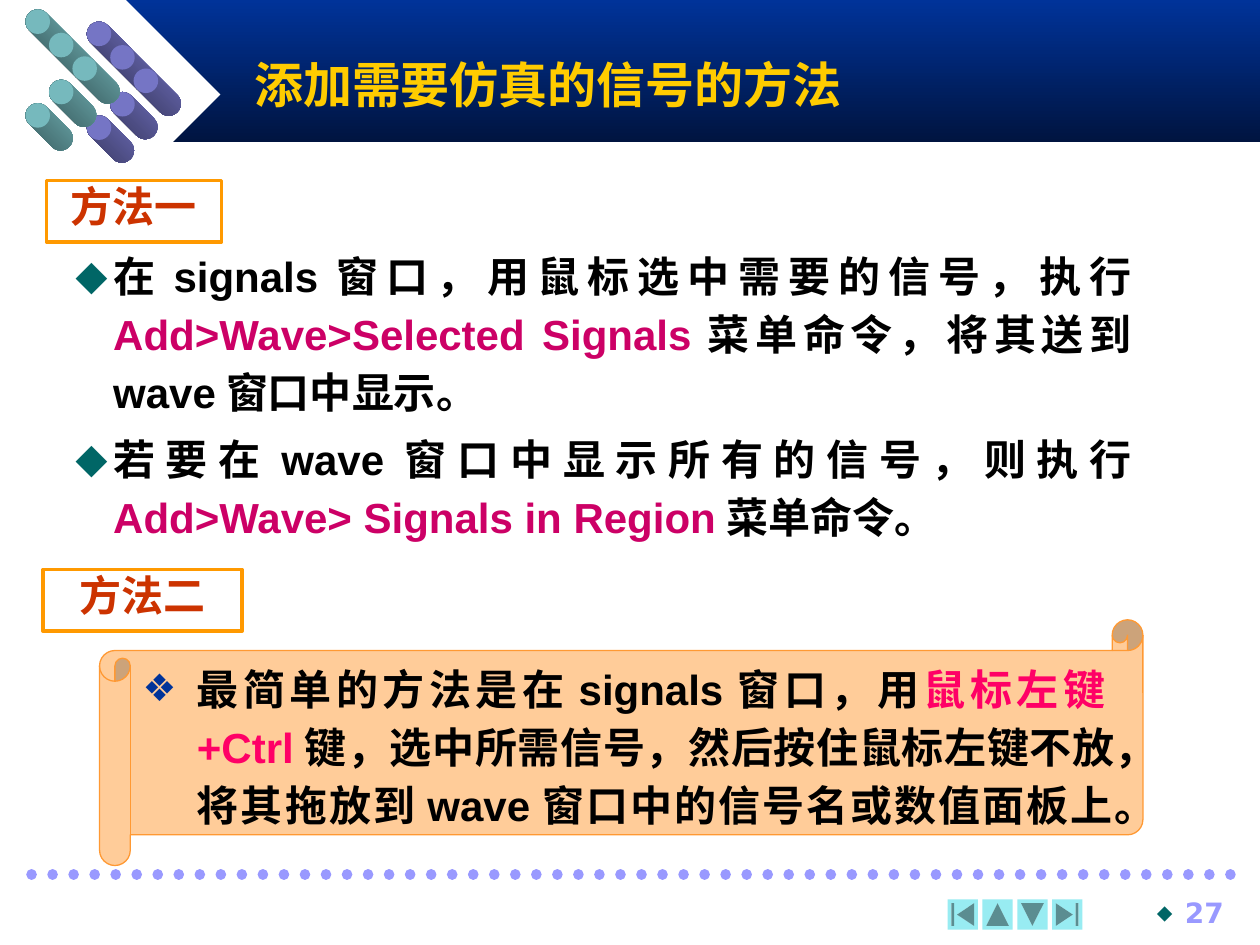
import pptx
import pptx.util
import pptx.dml.color
import pptx.enum.dml
import pptx.enum.shapes
import pptx.enum.text
import pptx.oxml
import pptx.oxml.ns

Pt = pptx.util.Pt
qn = pptx.oxml.ns.qn
SHAPE = pptx.enum.shapes.MSO_SHAPE
ALIGN = pptx.enum.text.PP_ALIGN
ANCHOR = pptx.enum.text.MSO_ANCHOR
color = pptx.dml.color.RGBColor.from_string

deck = pptx.Presentation()
deck.slide_width, deck.slide_height = Pt(720), Pt(540)
slide = deck.slides.add_slide(deck.slide_layouts[6])


def add_box(kind, left, top, width, height, fill=None, line=None, weight=1):
    """Add a preset shape; a list of fill colours makes a vertical gradient."""
    box = slide.shapes.add_shape(kind, Pt(left), Pt(top), Pt(width), Pt(height))
    box.shadow.inherit = False
    if isinstance(fill, list):
        box.fill.gradient()
        box.fill.gradient_angle = 270
        for stop, shade, position in zip(box.fill.gradient_stops, fill, (0, 1)):
            stop.color.rgb = color(shade)
            stop.position = position
    elif fill:
        box.fill.solid()
        box.fill.fore_color.rgb = color(fill)
    else:
        box.fill.background()
    if line:
        box.line.color.rgb = color(line)
        box.line.width = Pt(weight)
    else:
        box.line.fill.background()
    return box


def write(paragraph, runs, align, size=24, font="Arial", spacing=None, bullet=None):
    """Fill a paragraph; bullet is (character, colour, percent, left, hanging)."""
    paragraph.alignment = align
    paragraph.line_spacing = spacing
    for text, shade in runs:
        run = paragraph.add_run()
        run.text = text
        run.font.size, run.font.bold, run.font.name = Pt(size), True, font
        run.font.color.rgb = color(shade)
    if bullet:
        mark, shade, percent, left, hanging = bullet
        properties = paragraph._p.get_or_add_pPr()
        properties.set("marL", str(Pt(left)))
        properties.set("indent", str(-Pt(hanging)))
        clr = pptx.oxml.parse_xml(
            '<a:buClr xmlns:a="http://schemas.openxmlformats.org/drawingml/2006/main">'
            f'<a:srgbClr val="{shade}"/></a:buClr>')
        properties.append(clr)
        for tag, name, value in (("a:buSzPct", "val", str(percent * 1000)),
                                 ("a:buFont", "typeface", "Arial"),
                                 ("a:buChar", "char", mark)):
            properties.makeelement(qn(tag), {name: value})
            properties.append(properties.makeelement(qn(tag), {name: value}))


# Header band with white diamond
add_box(SHAPE.RECTANGLE, 72, 0, 648, 81.2, ["003399", "001440"])
add_box(SHAPE.DIAMOND, 18, 0, 108, 108, "FFFFFF")

# Two arrowheads made of rods that lean to the lower right
step, cap, reach = 13.4, 14, 13
rod = cap + reach * 2 ** 0.5
for left, top, face, light, dark in ((49.6, 12.4, "7575C5", "6F6FBB", "34345A"),
                                     (14.6, 5.4, "76B9BD", "70B0B4", "345456")):
    for row in range(5):
        x = left + step * min(row, 4 - row)
        y = top + step * row
        middle = (cap + reach) / 2
        body = add_box(SHAPE.ROUNDED_RECTANGLE, x + middle - rod / 2,
                       y + middle - cap / 2, rod, cap, [light, dark])
        body.adjustments[0] = 0.5
        body.rotation = 45
        add_box(SHAPE.OVAL, x, y, cap, cap, face)

# Dotted footer line
footer = slide.shapes.add_connector(
    pptx.enum.shapes.MSO_CONNECTOR.STRAIGHT, Pt(18), Pt(499.7), Pt(708), Pt(499.7))
footer.line.color.rgb = color("9999FF")
footer.line.width = Pt(6)
footer.line.dash_style = pptx.enum.dml.MSO_LINE.ROUND_DOT
footer_properties = footer._element.spPr
footer_properties.find(qn("a:ln")).set("cap", "rnd")
footer_properties.append(footer_properties.makeelement(qn("a:effectLst"), {}))

# Navigation buttons
for place, (kind, turn) in enumerate((
        (SHAPE.ACTION_BUTTON_BEGINNING, 0),
        (SHAPE.ACTION_BUTTON_BACK_OR_PREVIOUS, 90),
        (SHAPE.ACTION_BUTTON_FORWARD_OR_NEXT, 90),
        (SHAPE.ACTION_BUTTON_END, 0))):
    button = add_box(kind, 541.5 + 19.9 * place, 514, 17.3, 17.3, "98ECF2")
    button.rotation = turn

# Page number
number = slide.shapes.add_textbox(Pt(638), Pt(508.3), Pt(68.4), Pt(23.8)).text_frame
number.word_wrap = True
write(number.paragraphs[0], [("27", "9999FF")], ALIGN.RIGHT, 16, "DejaVu Sans",
      bullet=("⬥", "006666", 80, 16, 16))

# Title
title = slide.shapes.add_textbox(Pt(138.2), Pt(23.8), Pt(540), Pt(48.2)).text_frame
title.word_wrap = True
title.vertical_anchor = ANCHOR.MIDDLE
write(title.paragraphs[0], [("添加需要仿真的信号的方法", "FFCC00")], ALIGN.LEFT, 28)

# Method labels
for label, left, top, width in (("方法一", 26.6, 103, 100),
                                ("方法二", 24.5, 325.4, 113.8)):
    heading = add_box(SHAPE.RECTANGLE, left, top, width, 35.3, None, "FF9900", 2).text_frame
    heading.vertical_anchor = ANCHOR.TOP
    write(heading.paragraphs[0], [(label, "CC3300")], ALIGN.CENTER, spacing=0.9)

# Steps of the first method
steps = slide.shapes.add_textbox(Pt(5.8), Pt(135.5), Pt(653.8), Pt(180)).text_frame
steps.word_wrap = True
for index, (before, command, after) in enumerate((
        ("在signals窗口，用鼠标选中需要的信号，执行", "Add>Wave>Selected Signals",
         "菜单命令，将其送到wave窗口中显示。"),
        ("若要在wave窗口中显示所有的信号，则执行", "Add>Wave> Signals in Region",
         "菜单命令。"))):
    step_line = steps.add_paragraph() if index else steps.paragraphs[0]
    step_line.space_before = Pt(5 * index)
    write(step_line, [(before, "000000"), (command, "CC0066"), (after, "000000")],
          ALIGN.JUSTIFY, spacing=1.15, bullet=("⬥", "006666", 110, 51.8, 21.6))

# Scroll with the second method
scroll = add_box(SHAPE.HORIZONTAL_SCROLL, 56.9, 354.2, 596.2, 140.4,
                 "FFCC99", "FF9933", 0.75)
scroll.adjustments[0] = 0.125
drag = scroll.text_frame
drag.word_wrap = True
drag.vertical_anchor = ANCHOR.MIDDLE
write(drag.paragraphs[0],
      [("最简单的方法是在signals窗口，用", "000000"), ("鼠标左键+Ctrl", "FF0066"),
       ("键，选中所需信号，然后按住鼠标左键不放，将其拖放到wave窗口中的信号名或数值面板上。",
        "000000")],
      ALIGN.JUSTIFY, spacing=1.15, bullet=("❖", "003399", 90, 31, 31))

deck.save("out.pptx")
